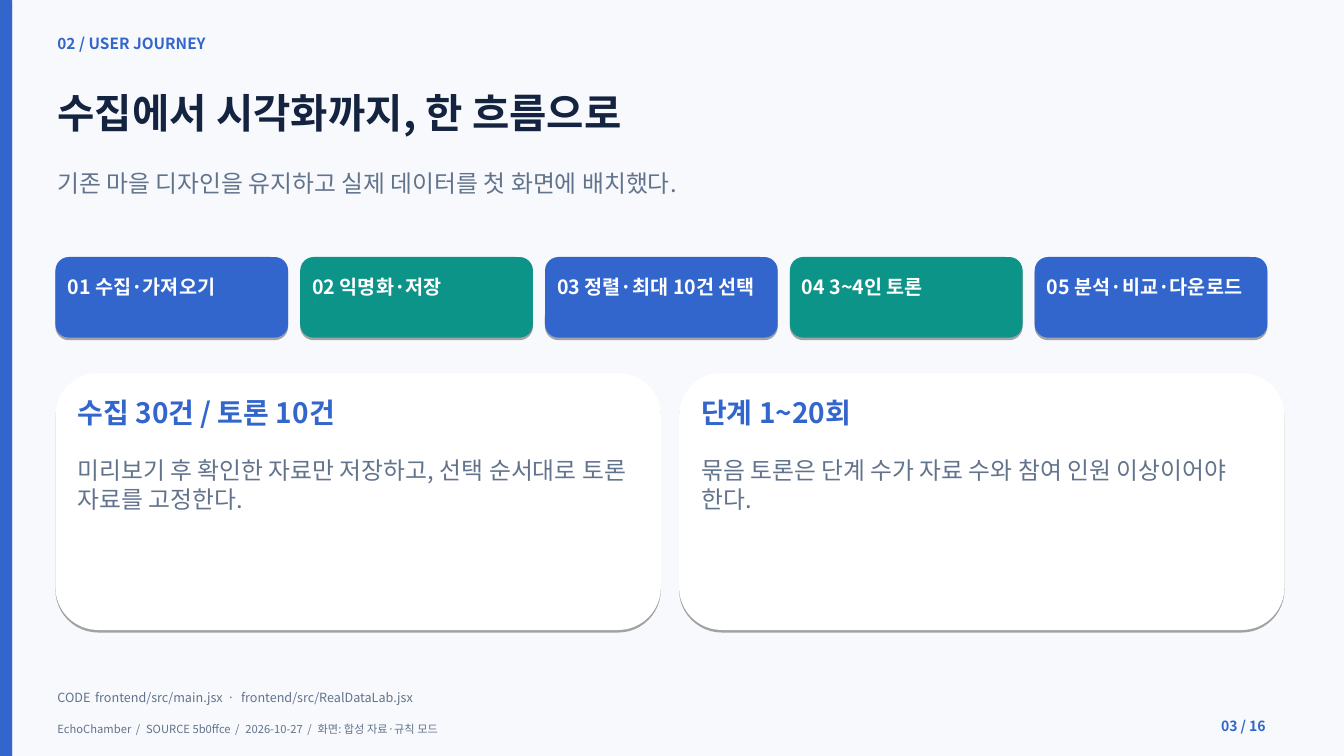
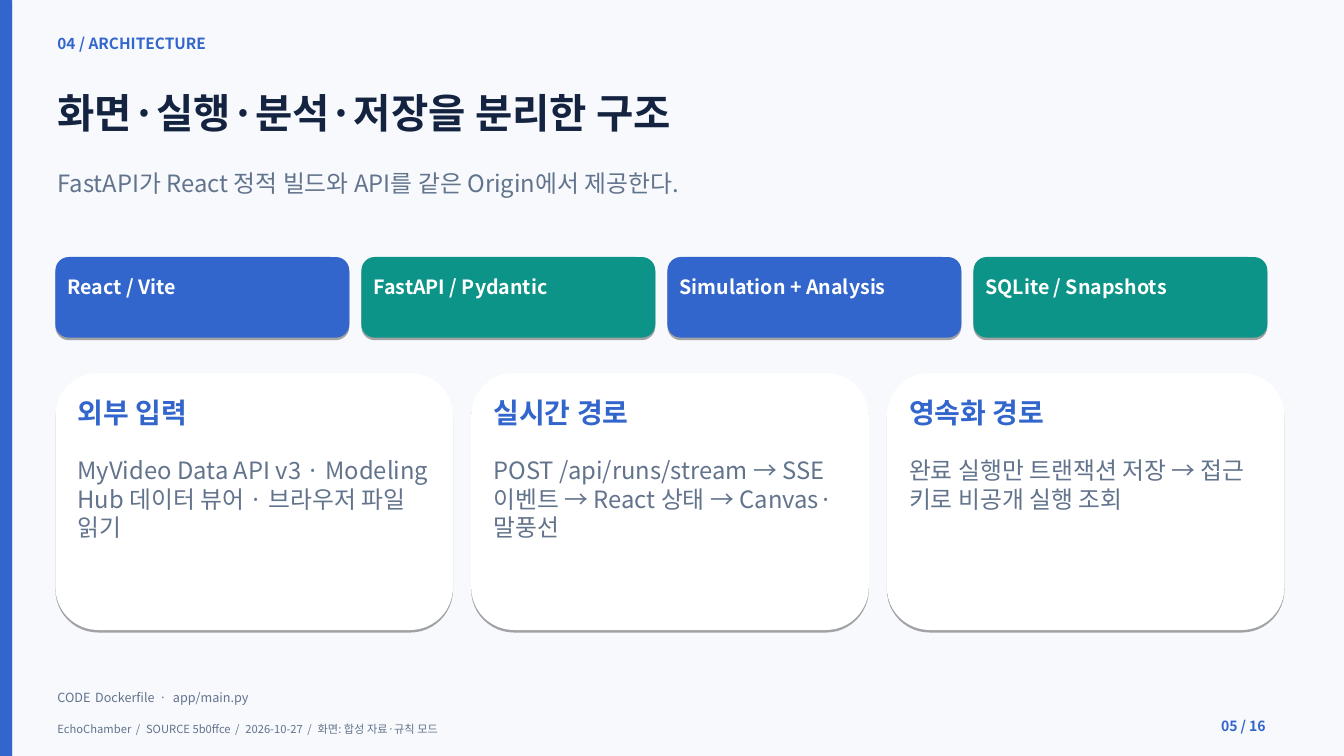
from collections.abc import Iterator
from dataclasses import dataclass

from lxml import etree
from pptx import Presentation
from pptx.dml.color import RGBColor
from pptx.enum.shapes import MSO_SHAPE
from pptx.enum.text import MSO_ANCHOR, MSO_AUTO_SIZE, PP_ALIGN
from pptx.oxml.ns import qn
from pptx.shapes.autoshape import Shape
from pptx.slide import Slide
from pptx.util import Emu, Pt

RECT, ROUND = MSO_SHAPE.RECTANGLE, MSO_SHAPE.ROUNDED_RECTANGLE
TOP, LEFT, GROW = MSO_ANCHOR.TOP, PP_ALIGN.LEFT, MSO_AUTO_SIZE.SHAPE_TO_FIT_TEXT
EMU_PER_PX = 9144
SLIDE_W, SLIDE_H = 1334, 750
MARGIN = 55
TITLE_ONLY = 5


@dataclass(frozen=True)
class TextStyle:
    size: int
    color: str
    bold: bool = False


@dataclass(frozen=True)
class Theme:
    font: str = "Noto Sans CJK KR"
    page: str = "F7F9FD"
    blue: str = "3366CC"
    teal: str = "0D9488"
    card: str = "FFFFFF"
    section: TextStyle = TextStyle(11, "3366CC", True)
    title: TextStyle = TextStyle(29, "14233F", True)
    body: TextStyle = TextStyle(17, "62738C")
    chip: TextStyle = TextStyle(14, "FFFFFF", True)
    heading: TextStyle = TextStyle(20, "3366CC", True)
    code: TextStyle = TextStyle(9, "62738C")
    footer: TextStyle = TextStyle(8, "62738C")
    page_no: TextStyle = TextStyle(10, "3366CC", True)


@dataclass(frozen=True)
class Box:
    x: float
    y: float
    w: float
    h: float

    def emu(self) -> tuple[Emu, ...]:
        return tuple(Emu(round(v * EMU_PER_PX)) for v in (self.x, self.y, self.w, self.h))


@dataclass(frozen=True)
class Card:
    heading: str
    body: str


@dataclass(frozen=True)
class Page:
    number: str
    section: str
    title: str
    lead: str
    chips: tuple[str, ...]
    cards: tuple[Card, ...]
    code: tuple[str, ...]


THEME = Theme()
FRAME_FORMAT = {
    "margin_left": Emu(2 * EMU_PER_PX),
    "margin_right": Emu(2 * EMU_PER_PX),
    "margin_top": Emu(2 * EMU_PER_PX),
    "margin_bottom": Emu(2 * EMU_PER_PX),
    "word_wrap": True,
    "vertical_anchor": TOP,
    "auto_size": GROW,
}
# Odd entries are separators, set with wider letter spacing.
FOOTER = ("EchoChamber", " / ", "SOURCE 5b0ffce", " / ", "2026-10-27", " / ",
          "화면: 합성 자료·규칙 모드")

PAGES = (
    Page(
        "03 / 16", "02 / USER JOURNEY", "수집에서 시각화까지, 한 흐름으로",
        "기존 마을 디자인을 유지하고 실제 데이터를 첫 화면에 배치했다.",
        ("01 수집·가져오기", "02 익명화·저장", "03 정렬·최대 10건 선택",
         "04 3~4인 토론", "05 분석·비교·다운로드"),
        (Card("수집 30건 / 토론 10건",
              "미리보기 후 확인한 자료만 저장하고, 선택 순서대로 토론 자료를 고정한다."),
         Card("단계 1~20회",
              "묶음 토론은 단계 수가 자료 수와 참여 인원 이상이어야 한다.")),
        ("CODE", " ", "frontend/src/main.jsx", " · ", "frontend/src/RealDataLab.jsx"),
    ),
    Page(
        "05 / 16", "04 / ARCHITECTURE", "화면·실행·분석·저장을 분리한 구조",
        "FastAPI가 React 정적 빌드와 API를 같은 Origin에서 제공한다.",
        ("React / Vite", "FastAPI / Pydantic", "Simulation + Analysis",
         "SQLite / Snapshots"),
        (Card("외부 입력",
              "MyVideo Data API v3 · Modeling Hub 데이터 뷰어 · 브라우저 파일 읽기"),
         Card("실시간 경로",
              "POST /api/runs/stream → SSE 이벤트 → React 상태 → Canvas·말풍선"),
         Card("영속화 경로",
              "완료 실행만 트랜잭션 저장 → 접근 키로 비공개 실행 조회")),
        ("CODE", " ", "Dockerfile", " · ", "app/main.py"),
    ),
)


def write_text(sp: Shape, style: TextStyle, *pieces: str) -> None:
    """Fill a shape with one paragraph; every second piece is a wide separator."""
    tf = sp.text_frame
    for name, value in FRAME_FORMAT.items():
        setattr(tf, name, value)
    p = tf.paragraphs[0]
    p.alignment = LEFT
    font_format = {"name": THEME.font, "size": Pt(style.size), "bold": style.bold}
    for i, piece in enumerate(pieces):
        r = p.add_run()
        r.text = piece
        for name, value in font_format.items():
            setattr(r.font, name, value)
        r.font.color.rgb = RGBColor.from_string(style.color)
        rpr = r.font._element if hasattr(r.font, "_element") else r._r.get_or_add_rPr()
        etree.SubElement(rpr, qn("a:ea"), typeface=THEME.font)
        if i % 2:
            rpr.set("spc", str(style.size * 15))


def add_text(slide: Slide, box: Box, style: TextStyle, *pieces: str) -> None:
    write_text(slide.shapes.add_textbox(*box.emu()), style, *pieces)


def add_panel(slide: Slide, kind: MSO_SHAPE, box: Box, color: str) -> None:
    """Draw a filled shape without outline, with a hard shadow below it."""
    sp = slide.shapes.add_shape(kind, *box.emu())
    sp.fill.solid()
    sp.fill.fore_color.rgb = RGBColor.from_string(color)
    sp.line.fill.background()
    sp.shadow.inherit = False
    effects = sp._element.spPr.find(qn("a:effectLst"))
    shadow = etree.SubElement(effects, qn("a:outerShdw"), blurRad="0",
                              dist=str(Pt(1.8)), dir="5400000", rotWithShape="0")
    black = etree.SubElement(shadow, qn("a:srgbClr"), val="000000")
    etree.SubElement(black, qn("a:alpha"), val="35000")


def row(count: int, y: int, width: int, height: int, gap: int) -> Iterator[Box]:
    """Split a row that starts at the margin into equal boxes."""
    w = (width - gap * (count - 1)) / count
    for i in range(count):
        yield Box(MARGIN + i * (w + gap), y, w, height)


def add_frame(slide: Slide, page: Page) -> None:
    """Add the side bar, headings and footers that every slide has."""
    add_panel(slide, RECT, Box(0, 0, 12, SLIDE_H), THEME.blue)
    title = slide.shapes.title
    title.left, title.top, title.width, title.height = Box(MARGIN, 85, 1200, 52).emu()
    write_text(title, THEME.title, page.title)
    add_text(slide, Box(MARGIN, 32, 1200, 22), THEME.section, page.section)
    add_text(slide, Box(MARGIN, 165, 1200, 32), THEME.body, page.lead)
    add_text(slide, Box(MARGIN, 682, 1170, 19), THEME.code, *page.code)
    add_text(slide, Box(MARGIN, 715, 1180, 17), THEME.footer, *FOOTER)
    add_text(slide, Box(1210, 710, 70, 21), THEME.page_no, page.number)


def add_chips(slide: Slide, labels: tuple[str, ...]) -> None:
    for i, (label, box) in enumerate(zip(labels, row(len(labels), 255, 1203, 80, 12))):
        add_panel(slide, ROUND, box, THEME.teal if i % 2 else THEME.blue)
        add_text(slide, Box(box.x + 10, box.y + 16, box.w - 20, 51), THEME.chip, label)


def add_cards(slide: Slide, cards: tuple[Card, ...]) -> None:
    for card, box in zip(cards, row(len(cards), 370, 1220, 255, 18)):
        add_panel(slide, ROUND, box, THEME.card)
        x, w = box.x + 20, box.w - 40
        add_text(slide, Box(x, box.y + 20, w, 37), THEME.heading, card.heading)
        add_text(slide, Box(x, box.y + 80, w, 61), THEME.body, card.body)


def main() -> None:
    prs = Presentation()
    prs.slide_width, prs.slide_height = Box(0, 0, SLIDE_W, SLIDE_H).emu()[2:]
    fill = prs.slide_master.background.fill
    fill.solid()
    fill.fore_color.rgb = RGBColor.from_string(THEME.page)
    for page in PAGES:
        slide = prs.slides.add_slide(prs.slide_layouts[TITLE_ONLY])
        add_frame(slide, page)
        add_chips(slide, page.chips)
        add_cards(slide, page.cards)
    prs.save("out.pptx")


if __name__ == "__main__":
    main()
